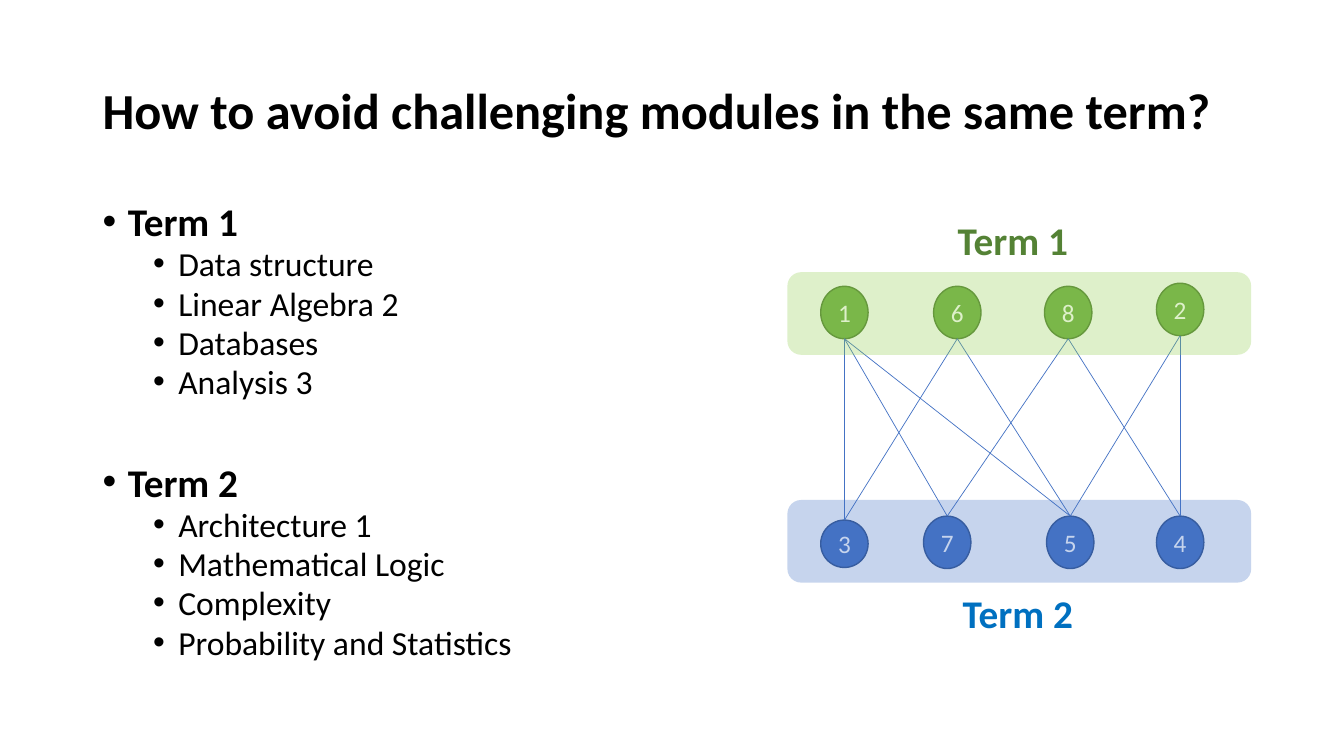
from dataclasses import dataclass

from lxml import etree
from pptx import Presentation
from pptx.dml.color import RGBColor
from pptx.enum.shapes import MSO_CONNECTOR as CONN, MSO_SHAPE as SHAPE
from pptx.enum.text import MSO_ANCHOR as ANCHOR, PP_ALIGN as ALIGN
from pptx.oxml.ns import qn
from pptx.util import Pt

PX = 9144  # 100 px to the inch


@dataclass(frozen=True)
class Theme:
    font: str = "Calibri"
    title: int = 36
    heading: int = 28
    item: int = 24
    node: int = 18
    black: str = "000000"
    white: str = "FFFFFF"
    green: str = "70AD47"
    green_line: str = "538035"
    green_band: str = "92D050"
    green_text: str = "548235"
    blue: str = "4472C4"
    blue_line: str = "325491"
    blue_text: str = "0070C0"


T = Theme()

MODULES = {
    "Term 1": ["Data structure", "Linear Algebra 2", "Databases", "Analysis 3"],
    "Term 2": ["Architecture 1", "Mathematical Logic", "Complexity",
               "Probability and Statistics"],
}
# Nodes: number, left, top, height within the graph box
TERM_1_NODES = [("1", 33, 74, 52), ("6", 145, 74, 52), ("8", 255, 74, 52), ("2", 366, 71, 52)]
TERM_2_NODES = [("3", 33, 306, 47), ("7", 135, 302, 52), ("5", 257, 302, 52), ("4", 366, 302, 52)]
NODE_W = 47
EDGES = ["13", "17", "15", "63", "65", "87", "84", "25", "24"]


def px(*lengths):
    return [round(n * PX) for n in lengths]


def rgb(color):
    return RGBColor.from_string(color)


def style(p, size, color, bold=False):
    for r in p.runs:
        f = r.font
        f.name, f.size, f.bold = T.font, Pt(size), bold
        f.color.rgb = rgb(color)


def add_text(s, box, wrap=True):
    tf = s.shapes.add_textbox(*px(*box)).text_frame
    tf.word_wrap = wrap
    return tf


def add_bullet(p, margin, indent):
    pPr = p._p.get_or_add_pPr()
    pPr.set("marL", str(margin * PX))
    pPr.set("indent", str(-indent * PX))
    etree.SubElement(pPr, qn("a:buFont")).set("typeface", "Arial")
    etree.SubElement(pPr, qn("a:buChar")).set("char", "•")


def add_title(s, box):
    tf = add_text(s, box)
    tf.vertical_anchor = ANCHOR.MIDDLE
    p = tf.paragraphs[0]
    p.text = "How to avoid challenging modules in the same term?"
    p.line_spacing = 0.9
    style(p, T.title, T.black, True)


def add_module_list(s, box):
    tf = add_text(s, box)
    for i, (term, modules) in enumerate(MODULES.items()):
        # Term heading, set apart from the list above it
        p = tf.add_paragraph() if i else tf.paragraphs[0]
        p.text = term
        p.line_spacing, p.space_before = 0.8, Pt(47 if i else 10)
        style(p, T.heading, T.black, True)
        add_bullet(p, 25, 25)
        # Modules of the term
        for module in modules:
            p = tf.add_paragraph()
            p.text, p.level = module, 1
            p.line_spacing, p.space_before = 0.8, Pt(5)
            style(p, T.item, T.black)
            add_bullet(p, 75, 25)


def add_node(s, box, number, fill, line):
    sp = s.shapes.add_shape(SHAPE.OVAL, *px(*box))
    sp.shadow.inherit = False
    sp.fill.solid()
    sp.fill.fore_color.rgb = rgb(fill)
    sp.line.color.rgb = rgb(line)
    sp.line.width = Pt(1)
    tf = sp.text_frame
    tf.vertical_anchor = ANCHOR.MIDDLE
    p = tf.paragraphs[0]
    p.text, p.alignment = number, ALIGN.CENTER
    style(p, T.node, T.white)


def add_edge(s, start, end):
    c = s.shapes.add_connector(CONN.STRAIGHT, *px(*start, *end))
    c.line.color.rgb = rgb(T.blue)
    c.line.width = Pt(0.5)
    etree.SubElement(c._element.spPr, qn("a:effectLst"))


def add_band(s, box, color):
    sp = s.shapes.add_shape(SHAPE.ROUNDED_RECTANGLE, *px(*box))
    sp.shadow.inherit = False
    sp.fill.solid()
    sp.fill.fore_color.rgb = rgb(color)
    sp.line.fill.background()
    clr = sp._element.spPr.find(qn("a:solidFill"))[0]
    etree.SubElement(clr, qn("a:alpha")).set("val", "30000")


def add_term_graph(s, box):
    x, y, w, h = box
    # Nodes
    bottoms, tops = {}, {}
    for nodes, fill, line in ((TERM_1_NODES, T.green, T.green_line),
                              (TERM_2_NODES, T.blue, T.blue_line)):
        for number, dx, dy, node_h in nodes:
            left, top = x + dx, y + dy
            add_node(s, (left, top, NODE_W, node_h), number, fill, line)
            middle = left + NODE_W / 2
            tops[number] = (middle, top)
            bottoms[number] = (middle, top + node_h)
    # Edges from term 1 down to term 2
    for upper, lower in EDGES:
        add_edge(s, bottoms[upper], tops[lower])
    # Bands laid over the nodes, with their labels
    for term, band_y, label_x, label_y, fill, color in (
            ("Term 1", 60, 159, 0, T.green_band, T.green_text),
            ("Term 2", 286, 164, h - 57, T.blue, T.blue_text)):
        add_band(s, (x, y + band_y, w, 82), fill)
        p = add_text(s, (x + label_x, y + label_y, 131, 57), wrap=False).paragraphs[0]
        p.text = term
        style(p, T.heading, color, True)


def main():
    prs = Presentation()
    prs.slide_width, prs.slide_height = px(1333, 750)
    s = prs.slides.add_slide(prs.slide_layouts[6])
    add_title(s, (92, 40, 1150, 145))
    add_module_list(s, (92, 200, 606, 476))
    add_term_graph(s, (781, 210, 460, 427))
    prs.save("out.pptx")


if __name__ == "__main__":
    main()
